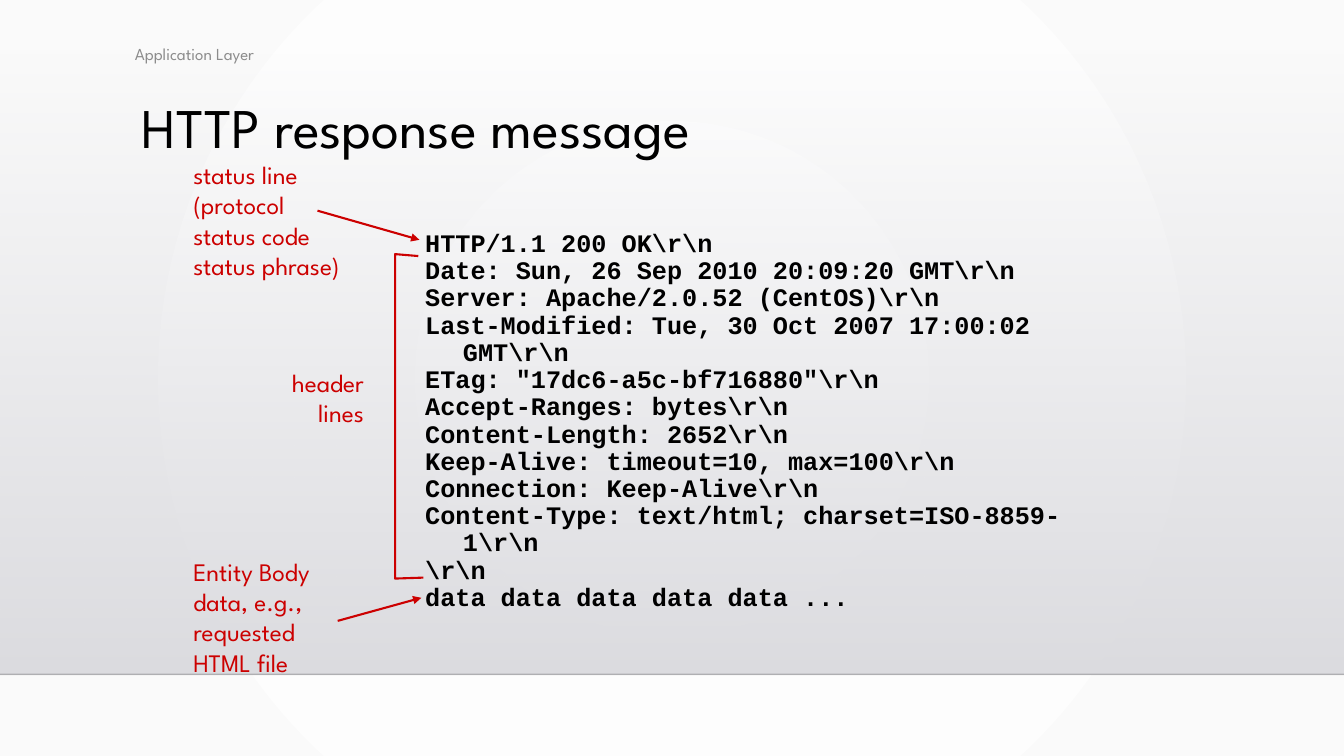
from lxml.etree import SubElement as Sub
from pptx import Presentation
from pptx.dml.color import RGBColor as Rgb
from pptx.enum.shapes import MSO_CONNECTOR as Conn, MSO_SHAPE as Kind
from pptx.enum.text import MSO_ANCHOR as Anchor, PP_ALIGN as Align
from pptx.oxml.ns import qn
from pptx.util import Pt

HUES = {"white": "FFFFFF", "pale": "FAFAFA", "mist": "DCDCE0", "haze": "DEDEE2",
        "rule": "000001", "grey": "8C8C8C", "black": "000000", "red": "CC0000"}
SANS, MONO = "League Spartan", "Courier New"
WIDE, HIGH = 960, 540
REPLY = r"""HTTP/1.1 200 OK\r\n
Date: Sun, 26 Sep 2010 20:09:20 GMT\r\n
Server: Apache/2.0.52 (CentOS)\r\n
Last-Modified: Tue, 30 Oct 2007 17:00:02 GMT\r\n
ETag: "17dc6-a5c-bf716880"\r\n
Accept-Ranges: bytes\r\n
Content-Length: 2652\r\n
Keep-Alive: timeout=10, max=100\r\n
Connection: Keep-Alive\r\n
Content-Type: text/html; charset=ISO-8859-1\r\n
\r\n
data data data data data ..."""


def hue(name):
    """Return the named colour."""
    return Rgb.from_string(HUES[name])


def fade(fill, first, last):
    """Give a fill a two-stop gradient running downwards."""
    fill.gradient()
    fill.gradient_angle = 270
    for stop, name in zip(fill.gradient_stops, (first, last)):
        stop.color.rgb = hue(name)


def clear(node, share):
    """Set the opacity of the first colour below a node."""
    Sub(node.find(".//" + qn("a:srgbClr")), qn("a:alpha"), val=str(share * 1000))


def write(slide, box, text, size=18, tint="red", font=SANS, bold=False,
          align=Align.LEFT, lead=None, hang=0, anchor=Anchor.TOP):
    """Place a text box with one paragraph per line of text."""
    frame = slide.shapes.add_textbox(*map(Pt, box)).text_frame
    frame.word_wrap = True
    frame.vertical_anchor = anchor
    frame.text = text
    for para in frame.paragraphs:
        para.alignment = align
        if lead:
            para.line_spacing = lead
        if hang:
            props = para._p.get_or_add_pPr()
            props.set("marL", str(Pt(hang)))
            props.set("indent", str(-Pt(hang)))
        for run in para.runs:
            run.font.name, run.font.size, run.font.bold = font, Pt(size), bold
            run.font.color.rgb = hue(tint)


def draw(slide, start, end, tint="red", width=1.5, head=True):
    """Draw a straight line, with an arrowhead at its end if wanted."""
    link = slide.shapes.add_connector(Conn.STRAIGHT, *map(Pt, start + end))
    link.line.color.rgb = hue(tint)
    link.line.width = Pt(width)
    if head:
        Sub(link.line._get_or_add_ln(), qn("a:tailEnd"), type="triangle")
    Sub(link._element.spPr, qn("a:effectLst"))
    return link


def stage(slide, left, top, width, height):
    """Paint the round backdrop and the shaded band with its floor line."""
    fade(slide.background.fill, "white", "pale")
    lin = slide._element.find(".//" + qn("a:lin"))
    grad = lin.getparent()
    grad.remove(lin)
    ring = Sub(grad, qn("a:path"), path="circle")
    Sub(ring, qn("a:fillToRect"), {side: "50000" for side in "ltrb"})
    band = slide.shapes.add_shape(Kind.RECTANGLE, *map(Pt, (left, top, width, height)))
    band.shadow.inherit = False
    band.line.fill.background()
    fade(band.fill, "mist", "haze")
    clear(band._element.spPr, 0)
    floor = top + height
    rule = draw(slide, (left, floor), (left + width, floor), "rule", 1, False)
    clear(rule._element.spPr, 20)


def heading(slide, left, top):
    """Write the chapter label and the title."""
    write(slide, (left, top, 467, 24.5), "Application Layer", 12, "grey",
          anchor=Anchor.MIDDLE)
    write(slide, (left + 5, top + 41.7, 612, 77), "HTTP response message", 40,
          "black", lead=0.9)


def message(slide, left, top, width, height):
    """Write the reply and label its three parts on the left."""
    write(slide, (left, top, width, height), REPLY, tint="black", font=MONO,
          bold=True, lead=0.9, hang=27)
    notes = left - 165.6
    write(slide, (notes, top - 51, 137, 94.5),
          "status line\n(protocol\nstatus code\nstatus phrase)")
    write(slide, (notes + 56, top + 97.2, 80, 51), "header\nlines", align=Align.RIGHT)
    write(slide, (notes, top + 232.5, 112.5, 94.5),
          "Entity Body\ndata, e.g.,\nrequested\nHTML file")
    draw(slide, (left - 69.8, top - 10.8), (left + 3, top + 10))
    draw(slide, (left - 55.4, top + 282.2), (left + 4.4, top + 265.7))
    points = [(2.2, 21.6), (-14.4, 20.2), (-14.4, 252), (5.8, 251.3)]
    first, *rest = [(Pt(left + x), Pt(top + y)) for x, y in points]
    pen = slide.shapes.build_freeform(*first)
    pen.add_line_segments(rest, close=False)
    brace = pen.convert_to_shape()
    brace.shadow.inherit = False
    brace.fill.background()
    brace.line.color.rgb = hue("red")
    brace.line.width = Pt(1.5)


def main():
    """Build the slide and save it."""
    deck = Presentation()
    deck.slide_width, deck.slide_height = Pt(WIDE), Pt(HIGH)
    slide = deck.slides.add_slide(deck.slide_layouts[6])
    stage(slide, 0, 36.7, WIDE, 445)
    heading(slide, 89.3, 26)
    message(slide, 296.6, 161.3, 497, 280)
    deck.save("out.pptx")


if __name__ == "__main__":
    main()
